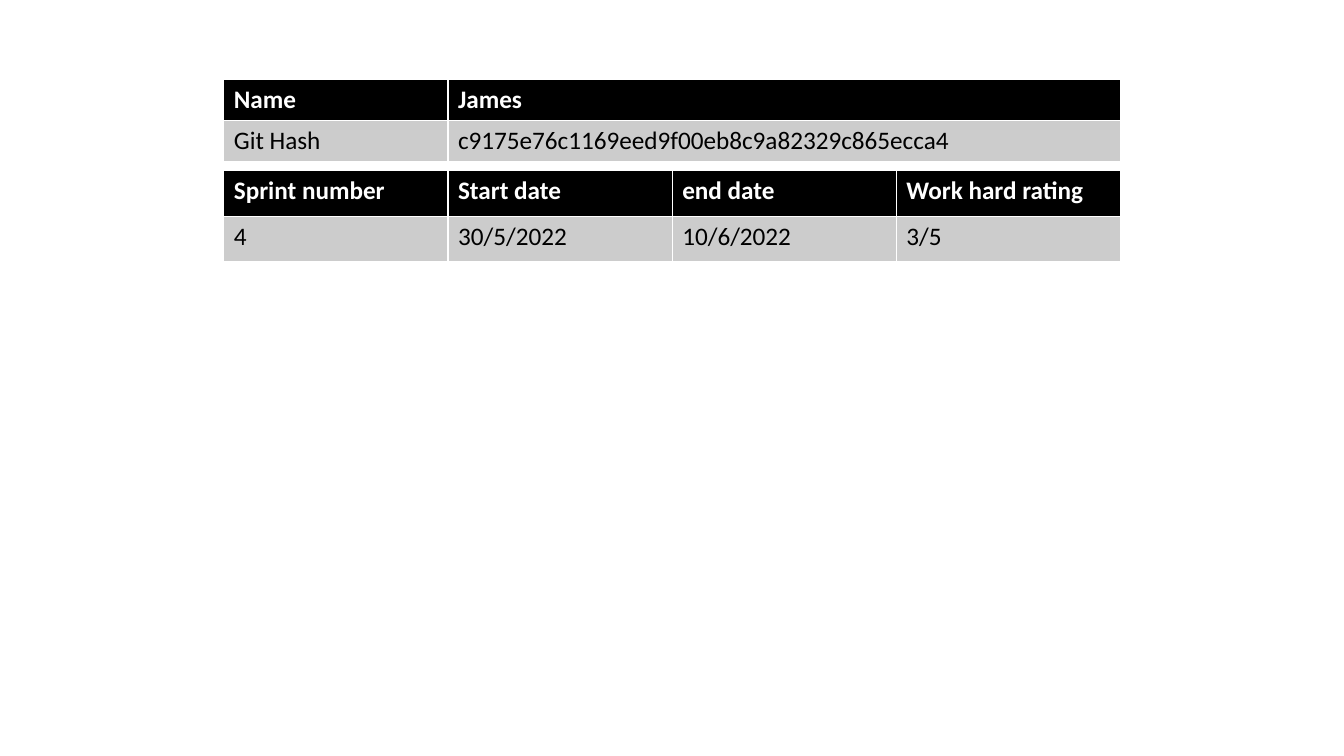
import pptx
import pptx.util
import pptx.dml.color

Cm = pptx.util.Cm
COLORS = {"black": "000000", "white": "FFFFFF", "grey": "CCCCCC"}
HEAD = {"name": "Calibri", "size": pptx.util.Pt(18), "bold": True}
BODY = {**HEAD, "bold": False}
LEFT = 5.64
UNIT = 5.65


def color(name):
    return pptx.dml.color.RGBColor.from_string(COLORS[name])


def fill_cell(cell, text, style, ink, back):
    cell.text = text
    cell.fill.solid()
    cell.fill.fore_color.rgb = color(back)
    font = cell.text_frame.paragraphs[0].runs[0].font
    for key, value in style.items():
        setattr(font, key, value)
    font.color.rgb = color(ink)


def add_grid(slide, top, height, spans, rows):
    """Add a table; spans gives column widths in units, height is per row."""
    frame = slide.shapes.add_table(
        len(rows), len(spans), Cm(LEFT), Cm(top),
        Cm(UNIT * sum(spans)), Cm(height * len(rows)))
    table = frame.table
    for column, span in zip(table.columns, spans):
        column.width = Cm(UNIT * span)
    for r, texts in enumerate(rows):
        table.rows[r].height = Cm(height)
        look = (BODY, "black", "grey") if r else (HEAD, "white", "black")
        for c, text in enumerate(texts):
            fill_cell(table.cell(r, c), text, *look)


def main():
    deck = pptx.Presentation()
    deck.slide_width, deck.slide_height = Cm(33.87), Cm(19.05)
    slide = deck.slides.add_slide(deck.slide_layouts[6])
    add_grid(slide, 2.01, 1.03, [1, 3], [
        ["Name", "James"],
        ["Git Hash", "c9175e76c1169eed9f00eb8c9a82329c865ecca4"],
    ])
    add_grid(slide, 4.3, 1.15, [1, 1, 1, 1], [
        ["Sprint number", "Start date", "end date", "Work hard rating"],
        ["4", "30/5/2022", "10/6/2022", "3/5"],
    ])
    deck.save("out.pptx")


if __name__ == "__main__":
    main()
